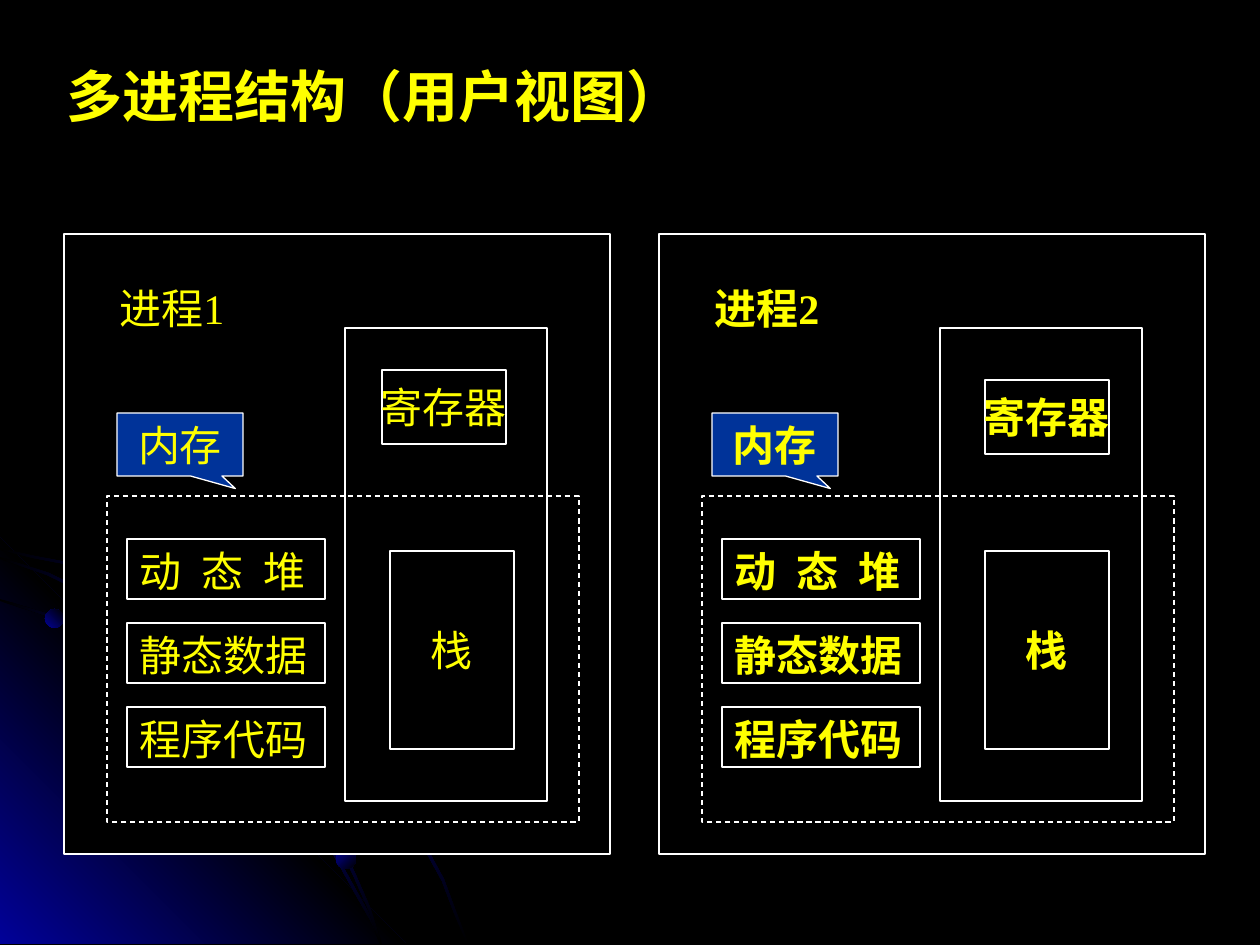
"""Build a slide comparing the user view of two processes side by side."""
from copy import deepcopy
from dataclasses import dataclass

from lxml.etree import SubElement
from pptx import Presentation
from pptx.dml.color import RGBColor as RGB
from pptx.enum.dml import MSO_LINE_DASH_STYLE as Dash
from pptx.enum.shapes import MSO_CONNECTOR as Connector, MSO_SHAPE as Shape
from pptx.enum.text import MSO_ANCHOR as Anchor, MSO_AUTO_SIZE as AutoSize, PP_ALIGN as Align
from pptx.oxml.ns import qn
from pptx.util import Inches, Pt


@dataclass(frozen=True)
class Theme:
    black: RGB = RGB.from_string("000000")
    white: RGB = RGB.from_string("FFFFFF")
    yellow: RGB = RGB.from_string("FFFF00")
    navy: RGB = RGB.from_string("010199")
    callout: RGB = RGB.from_string("003399")
    font: str = "Times New Roman"
    title_size: Pt = Pt(32)
    label_size: Pt = Pt(24)
    line_width: Pt = Pt(0.75)


theme = Theme()
SCALE = Inches(1) / 126


def add_box(bounds, text="", bold=False, centred=False, dashed=False, kind=Shape.RECTANGLE, color=theme.black):
    shape = slide.shapes.add_shape(kind, *[round(value * SCALE) for value in bounds])
    shape.shadow.inherit = False
    shape.fill.solid()
    shape.fill.fore_color.rgb = color
    shape.line.color.rgb = theme.white
    shape.line.width = theme.line_width
    if dashed:
        shape.line.dash_style = Dash.DASH
    if text:
        frame = shape.text_frame
        frame.text = text
        frame.word_wrap = not centred
        frame.vertical_anchor = Anchor.MIDDLE if centred else Anchor.TOP
        paragraph = frame.paragraphs[0]
        paragraph.alignment = Align.CENTER if centred else Align.LEFT
        paragraph.font.name = theme.font
        paragraph.font.size = theme.label_size
        paragraph.font.bold = bold
        paragraph.font.color.rgb = theme.yellow
    return shape


def paint_gradient(shape, colors, angle):
    shape.shadow.inherit = False
    shape.line.fill.background()
    shape.fill.gradient()
    shape.fill.gradient_angle = angle
    stop_list = shape.element.spPr.find(qn("a:gradFill")).find(qn("a:gsLst"))
    for extra in stop_list[2:]:
        stop_list.remove(extra)
    while len(stop_list) < len(colors):
        stop_list.append(deepcopy(stop_list[0]))
    for index, (stop, color) in enumerate(zip(shape.fill.gradient_stops, colors)):
        stop.color.rgb = color
        stop.position = index / (len(colors) - 1)


presentation = Presentation()
presentation.slide_width, presentation.slide_height = Inches(10), Inches(7.5)
slide = presentation.slides.add_slide(presentation.slide_layouts[5])
slide.background.fill.solid()
slide.background.fill.fore_color.rgb = theme.black

corner = slide.shapes.build_freeform(0, 538, scale=SCALE)
corner.add_line_segments([(406, 944), (0, 944)])
paint_gradient(corner.convert_to_shape(), [theme.navy, theme.black, theme.navy], 45)

arcs = [
    [(0, 548), (35, 556), (72, 563), (123, 578), (171, 601), (219, 626), (263, 656), (305, 690),
     (343, 728), (378, 770), (410, 816), (427, 848), (444, 879), (456, 911), (469, 944)],
    [(0, 599), (52, 615), (100, 636), (147, 663), (192, 692), (232, 726), (271, 764), (305, 806),
     (335, 852), (360, 897), (373, 920), (382, 944)],
    [(0, 557), (49, 573), (96, 596), (140, 621), (181, 650), (221, 684), (257, 722), (289, 760),
     (320, 805), (339, 838), (355, 873), (370, 907), (382, 944)],
]
for outer in arcs:
    inner = [(max(0, x - 2), min(944, y + 2)) for x, y in reversed(outer)]
    arc = slide.shapes.build_freeform(*outer[0], scale=SCALE)
    arc.add_line_segments(outer[1:] + inner)
    paint_gradient(arc.convert_to_shape(), [theme.black, theme.navy, theme.black], 315)

for bounds, angle in [((45, 609, 19, 19), 45), ((336, 849, 20, 20), 315)]:
    paint_gradient(add_box(bounds, kind=Shape.OVAL), [theme.navy, theme.black], angle)

title = slide.shapes.title
title.left, title.top, title.width, title.height = [round(value * SCALE) for value in (54, 55, 833, 79)]
title.text_frame.text = "多进程结构（用户视图）"
title.text_frame.word_wrap = True
title.text_frame.vertical_anchor = Anchor.TOP
heading = title.text_frame.paragraphs[0]
heading.alignment = Align.LEFT
heading.font.name = theme.font
heading.font.size = theme.title_size
heading.font.bold = True
heading.font.color.rgb = theme.yellow

processes = [(64, "进程1", False, 318, 370), (659, "进程2", True, 326, 380)]
for left, name, bold, register_offset, register_top in processes:
    add_box((left, 234, 546, 620))
    add_box((left + 43, 496, 472, 326), dashed=True)
    add_box((left + 281, 328, 202, 473))

    for row, segment in enumerate(["动 态 堆", "静态数据", "程序代码"]):
        box = add_box((left + 63, 539 + 84 * row, 198, 60), segment, bold)
        if " " in segment:
            box.text_frame.paragraphs[0].runs[0]._r.get_or_add_rPr().set("spc", "300")

    add_box((left + 326, 551, 124, 198), "栈", bold, centred=True)
    add_box((left + register_offset, register_top, 124, 74), "寄存器", bold, centred=True)

    label = add_box((left + 43, 276, 136, 63), name, bold)
    label.fill.background()
    label.line.fill.background()
    label.text_frame.auto_size = AutoSize.SHAPE_TO_FIT_TEXT

    divider = slide.shapes.add_connector(
        Connector.STRAIGHT, *[round(value * SCALE) for value in (left + 284, 496, left + 504, 496)])
    divider.line.color.rgb = theme.white
    divider.line.width = theme.line_width
    divider.line.dash_style = Dash.DASH
    SubElement(divider.element.spPr, qn("a:effectLst"))

    memory = add_box((left + 53, 413, 126, 63), "内存", bold, centred=True,
                     kind=Shape.RECTANGULAR_CALLOUT, color=theme.callout)
    memory.adjustments[0], memory.adjustments[1] = 0.44, 0.7

presentation.save("out.pptx")
